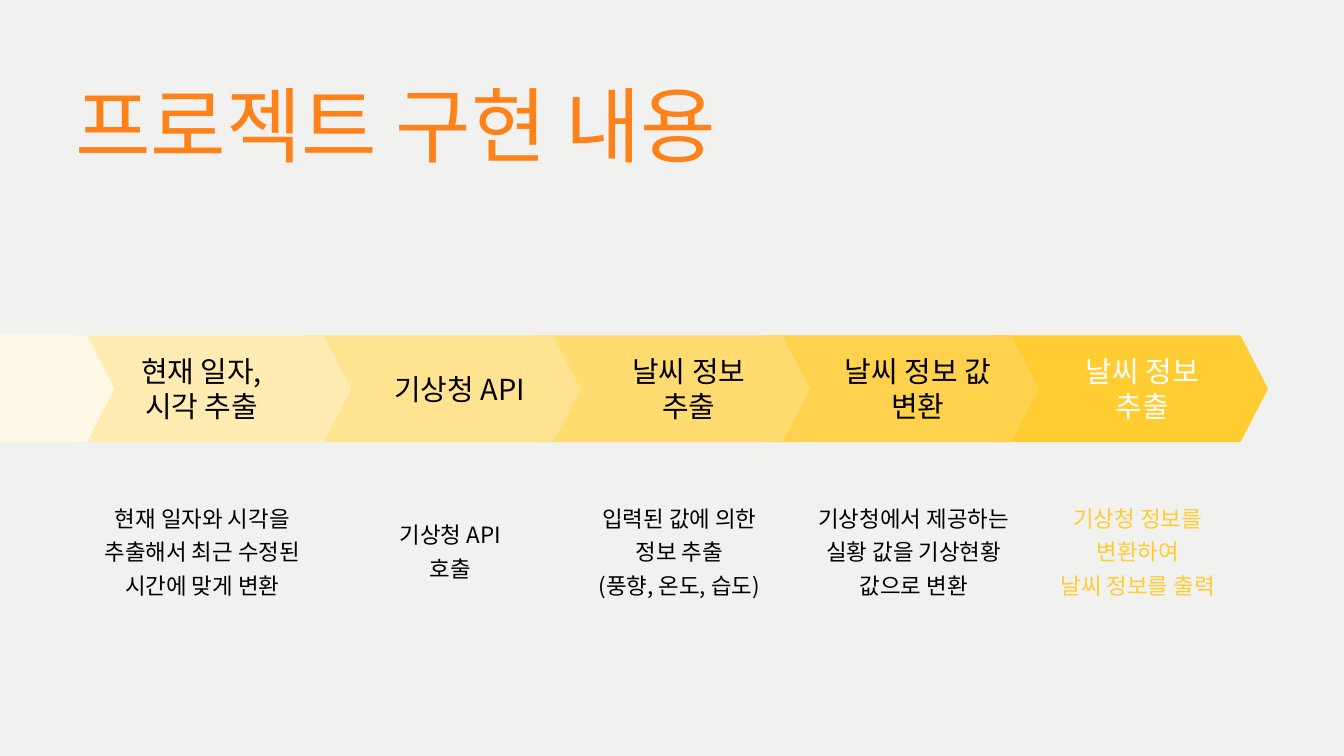
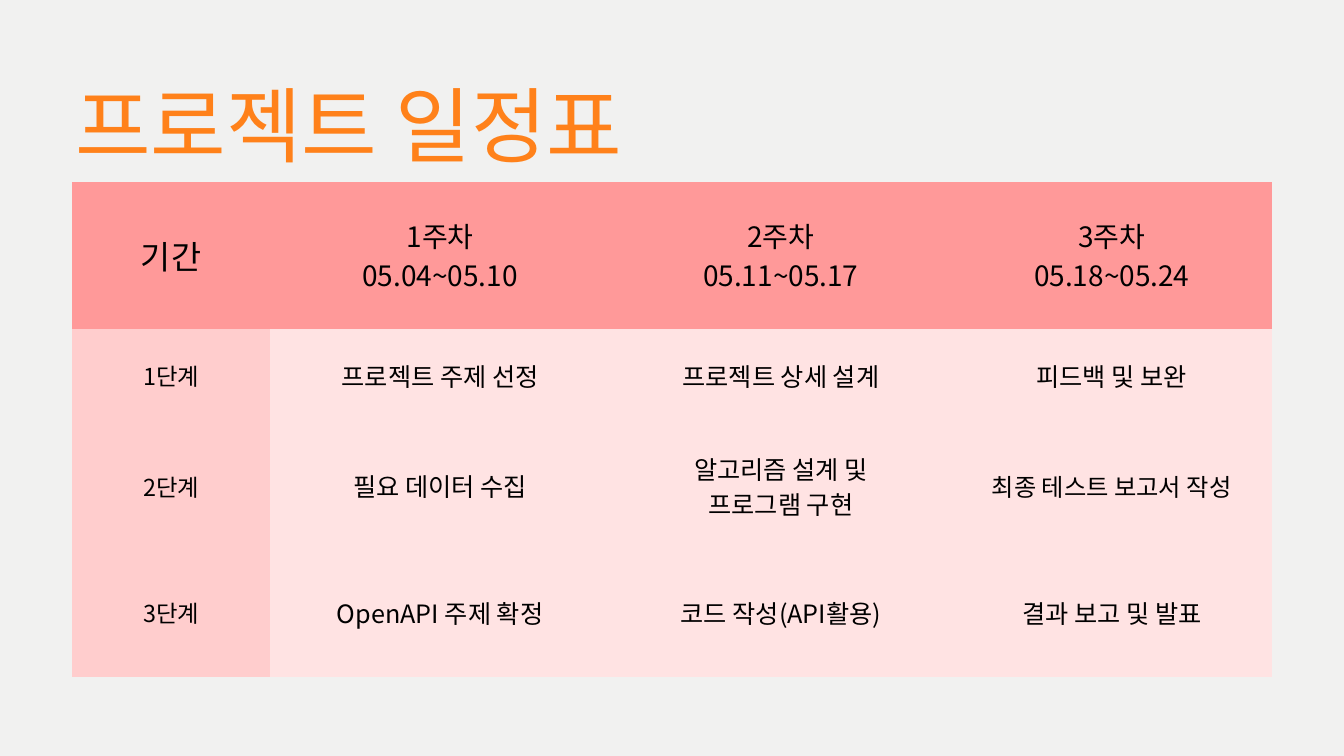
from dataclasses import dataclass

from lxml import etree
from pptx import Presentation
from pptx import util as u
from pptx.dml.color import RGBColor
from pptx.enum import text as t
from pptx.oxml.ns import qn

# Shared colours and fonts
PAPER, TITLE, BLACK, WHITE, GOLD = "F1F1F0", "FF811A", "000000", "FFFFFF", "FFCC32"
HEAD, SIDE, CELL = "FF9999", "FFCDCD", "FFE3E3"
HANGUL, MIXED = "Calibri", "Noto Sans CJK KR"

# Arrow band
TOP, TALL, BODY, TIP, PITCH = 4.99, 1.59, 3.7, 0.41, 3.41
LABEL_MID, NOTE_MID = 5.79, 8.16


@dataclass
class Step:
    fill: str
    label: str
    label_x: float
    note: str
    note_x: float
    rows: int = 3
    wide: float = 2.9
    label_ink: str = BLACK
    note_ink: str = BLACK


STEPS = [
    Step("FFECB3", "현재 일자,\n시각 추출", 1.55,
         "현재 일자와 시각을\n추출해서 최근 수정된\n시간에 맞게 변환", 1.43, wide=3.16),
    Step("FFE391", "기상청 API", 5.39, "기상청 API\n호출", 5.25, rows=2),
    Step("FFDB70", "날씨 정보\n추출", 8.8,
         "입력된 값에 의한\n정보 추출\n(풍향, 온도, 습도)", 8.66),
    Step("FFD24D", "날씨 정보 값\n변환", 12.21,
         "기상청에서 제공하는 실황 값을 기상현황 값으로 변환", 12.07, wide=3.05),
    Step(GOLD, "날씨 정보\n추출", 15.55,
         "기상청 정보를\n변환하여\n날씨 정보를 출력", 15.48,
         label_ink=WHITE, note_ink=GOLD),
]

# Schedule
COLS = [2.95, 5.06, 5.08, 4.77]
ROWS = [2.19, 1.4, 1.88, 1.89]
PLAN = [
    ["기간", "1주차\n05.04~05.10", "2주차\n05.11~05.17", "3주차\n05.18~05.24"],
    ["1단계", "프로젝트 주제 선정", "프로젝트 상세 설계", "피드백 및 보완"],
    ["2단계", "필요 데이터 수집", "알고리즘 설계 및\n프로그램 구현", "최종 테스트 보고서 작성"],
    ["3단계", "OpenAPI 주제 확정", "코드 작성(API활용)", "결과 보고 및 발표"],
]
SIZES = {(0, 0): 35, (2, 3): 26}


def rgb(code: str) -> RGBColor:
    return RGBColor.from_string(code)


def paint(part, code: str) -> None:
    part.fill.solid()
    part.fill.fore_color.rgb = rgb(code)


def write(frame, words: str, *, size: float, ink: str = BLACK,
          lead: float = 1.2, align=t.PP_ALIGN.CENTER) -> None:
    """Fill a frame, one paragraph a line; lines with Latin signs get MIXED."""
    frame.text = words
    for para in frame.paragraphs:
        latin = any(c.isascii() and not c.isspace() for c in para.text)
        para.alignment = align
        para.line_spacing = u.Pt(round(size * lead, 1))
        font = para.runs[0].font
        font.name = MIXED if latin else HANGUL
        font.size = u.Pt(size)
        font.bold = False
        font.color.rgb = rgb(ink)


def place(shape, x: float, y: float, w: float, h: float) -> None:
    shape.left, shape.top = u.Inches(x), u.Inches(y)
    shape.width, shape.height = u.Inches(w), u.Inches(h)


def trim(frame) -> None:
    frame.word_wrap = True
    frame.vertical_anchor = t.MSO_ANCHOR.TOP
    frame.margin_left = frame.margin_right = 0
    frame.margin_top = frame.margin_bottom = 0


def add_page(deck, title: str):
    page = deck.slides.add_slide(deck.slide_layouts[5])
    head = page.shapes.title
    place(head, 1.12, 1.11, 17.56, 1.47)
    trim(head.text_frame)
    head.text_frame.auto_size = t.MSO_AUTO_SIZE.NONE
    write(head.text_frame, title, size=88, ink=TITLE, align=t.PP_ALIGN.LEFT)
    return page


def add_arrow(page, x: float, fill: str) -> None:
    pts = [(x + BODY, TOP), (x + BODY + TIP, TOP + TALL / 2),
           (x + BODY, TOP + TALL), (x, TOP + TALL)]
    pen = page.shapes.build_freeform(u.Inches(x), u.Inches(TOP))
    pen.add_line_segments([(u.Inches(a), u.Inches(b)) for a, b in pts])
    arrow = pen.convert_to_shape()
    arrow.shadow.inherit = False
    paint(arrow, fill)
    arrow.line.fill.background()


def add_text(page, words: str, x: float, mid: float, wide: float, high: float,
             **form) -> None:
    box = page.shapes.add_textbox(0, 0, 0, 0)
    place(box, x, mid - high / 2, wide, high)
    trim(box.text_frame)
    write(box.text_frame, words, **form)


def add_steps(deck) -> None:
    page = add_page(deck, "프로젝트 구현 내용")
    # Arrows run from right to left so that each tip overlaps the next
    for i, step in reversed(list(enumerate(STEPS))):
        add_arrow(page, 1.12 + i * PITCH, step.fill)
    add_arrow(page, -2.41, "FFF9E8")
    for step in STEPS:
        lines = step.label.count("\n") + 1
        add_text(page, step.label, step.label_x, LABEL_MID, 2.9, lines * 0.53,
                 size=31, ink=step.label_ink)
        add_text(page, step.note, step.note_x, NOTE_MID, step.wide, step.rows * 0.5,
                 size=24, lead=1.5, ink=step.note_ink)


def style_cell(cell, row: int, col: int) -> None:
    cell.vertical_anchor = t.MSO_ANCHOR.MIDDLE
    cell.margin_left = cell.margin_right = u.Inches(0.21)
    cell.margin_top = cell.margin_bottom = u.Inches(0.21)
    props = cell._tc.get_or_add_tcPr()
    for side in ("lnL", "lnR", "lnT", "lnB"):
        edge = etree.SubElement(props, qn(f"a:{side}"), w="0")
        etree.SubElement(edge, qn("a:noFill"))
    paint(cell, HEAD if row == 0 else SIDE if col == 0 else CELL)
    usual = 30 if row == 0 else 25 if col == 0 else 27
    write(cell.text_frame, PLAN[row][col], size=SIZES.get((row, col), usual), lead=1.4)


def add_plan(deck) -> None:
    page = add_page(deck, "프로젝트 일정표")
    grid = page.shapes.add_table(
        len(ROWS), len(COLS), u.Inches(1.07), u.Inches(2.71),
        u.Inches(sum(COLS)), u.Inches(sum(ROWS))).table
    grid.first_row = grid.horz_banding = False
    for col, wide in zip(grid.columns, COLS):
        col.width = u.Inches(wide)
    for row, high in zip(grid.rows, ROWS):
        row.height = u.Inches(high)
    for r in range(len(ROWS)):
        for c in range(len(COLS)):
            style_cell(grid.cell(r, c), r, c)


def main() -> None:
    deck = Presentation()
    deck.slide_width, deck.slide_height = u.Inches(20), u.Inches(11.25)
    paint(deck.slide_master.background, PAPER)
    add_steps(deck)
    add_plan(deck)
    deck.save("out.pptx")


if __name__ == "__main__":
    main()
